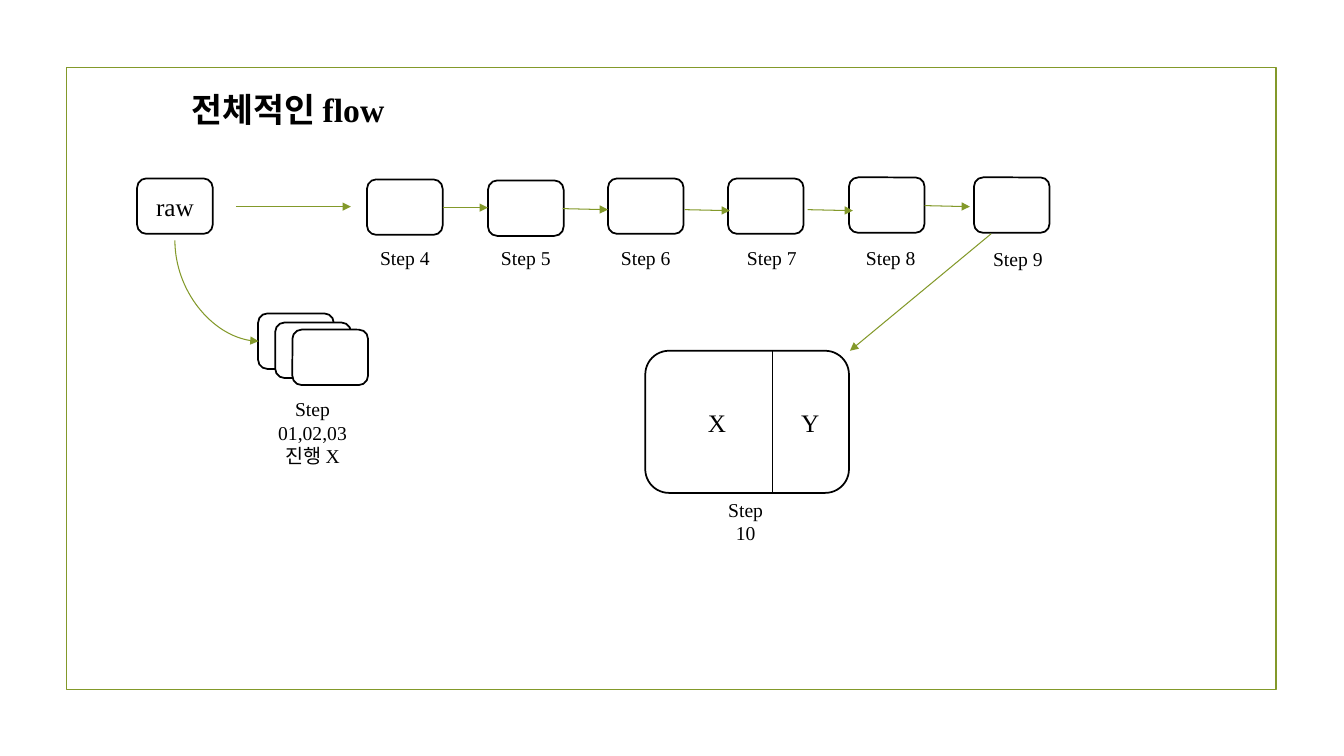
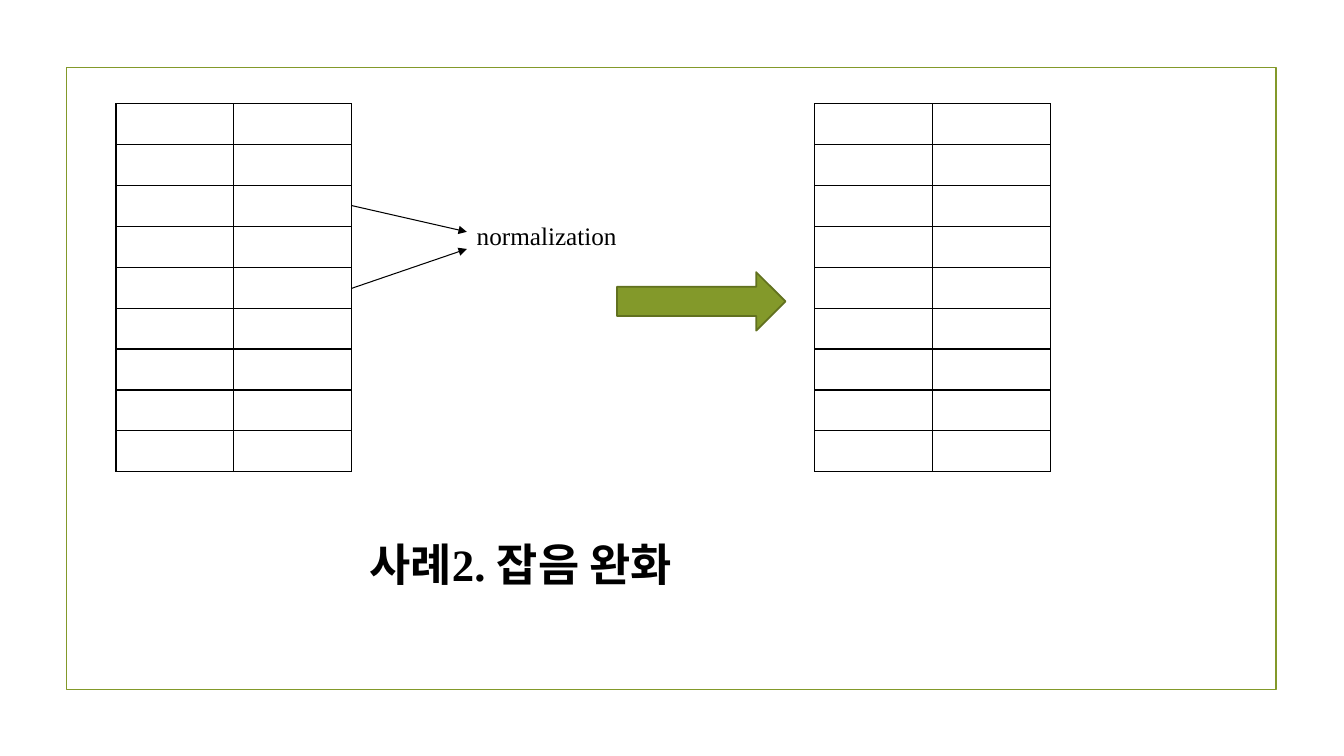
from dataclasses import dataclass

from lxml import etree
from pptx import Presentation
from pptx import util as u
from pptx.dml.color import RGBColor
from pptx.enum import shapes, text
from pptx.oxml.ns import qn

# Content: lengths in px, 100 px to the inch
SLIDE_SIZE = (1333, 750)
FRAME = (66, 67, 1200, 617)

FLOW_TITLE = ("전체적인 flow", (88, 83, 395, 50))
RAW_BOX = ("raw", 136, 177)
STACK = [(256, 311), (273, 320), (290, 327)]
STACK_LABEL = ("Step 01,02,03 진행 X", (256, 389, 108, 81))
STEPS = [  # label, box left, box top, label left, label top
    ("Step 4", 364, 178, 364, 239),
    ("Step 5", 484, 179, 484, 239),
    ("Step 6", 603, 177, 603, 239),
    ("Step 7", 722, 177, 728, 239),
    ("Step 8", 842, 176, 846, 239),
    ("Step 9", 966, 176, 972, 240),
]
FLOW_ARROWS = [
    (234, 205, 348, 205),
    (439, 206, 484, 206),
    (558, 207, 603, 208),
    (679, 208, 724, 209),
    (801, 208, 846, 209),
    (917, 204, 962, 205),
    (983, 232, 843, 348),
]
CURVE = (265, 247, 165, 330)  # ends before the quarter turn
RESULT_BOX = (640, 348, 202, 141)
RESULT_SPLIT = 766
RESULT_PARTS = [("X", (660, 399, 102, 40)), ("Y", (779, 399, 49, 40))]
RESULT_LABEL = ("Step 10", (702, 489, 75, 57))

CASE_TITLE = ("사례2. 잡음 완화", (276, 527, 481, 64))
TABLE_LEFTS, TABLE_TOP, TABLE_SIZE = (115, 808), 103, (234, 365)
TABLE_ROWS, TABLE_COLUMNS = 9, 2
NOTE = ("normalization", (463, 214, 211, 40))
NOTE_ARROWS = [(349, 204, 463, 230), (349, 286, 463, 247)]
BLOCK_ARROW = (612, 270, 167, 58)


@dataclass(frozen=True)
class Theme:
    font: str = "Times New Roman"
    ink: str = "000000"
    paper: str = "FFFFFF"
    accent: str = "83992A"
    accent_dark: str = "61711F"
    label: int = 14
    body: int = 18
    heading: int = 24
    caption: int = 32
    thin: float = 0.75
    cell_line: float = 1
    outline: float = 1.25
    box: tuple = (75, 55)
    label_size: tuple = (75, 34)


THEME = Theme()
ALIGN = text.PP_ALIGN
KIND = shapes.MSO_SHAPE
LINK = shapes.MSO_CONNECTOR


# Shared helpers
def px(*lengths):
    return [u.Emu(length * 9144) for length in lengths]


def assign(target, **values):
    for name, value in values.items():
        setattr(target, name, value)


def write(shape, content, size, align=ALIGN.CENTER, bold=False,
          anchor=text.MSO_ANCHOR.TOP):
    frame = shape.text_frame
    assign(frame, word_wrap=True, auto_size=text.MSO_AUTO_SIZE.NONE,
           vertical_anchor=anchor)
    paragraph = frame.paragraphs[0]
    paragraph.alignment = align
    run = paragraph.add_run()
    run.text = content
    assign(run.font, name=THEME.font, size=u.Pt(size), bold=bold)
    run.font.color.rgb = RGBColor.from_string(THEME.ink)


def set_title(slide, content, area, size):
    title = slide.shapes.title
    assign(title, **dict(zip(("left", "top", "width", "height"), px(*area))))
    write(title, content, size, bold=True)


def add_text(slide, content, area, size, align=ALIGN.CENTER):
    write(slide.shapes.add_textbox(*px(*area)), content, size, align)


def set_line(shape, color, width):
    shape.line.color.rgb = RGBColor.from_string(color)
    shape.line.width = u.Pt(width)


def add_block(slide, kind, area, fill=THEME.paper, line=THEME.ink):
    shape = slide.shapes.add_shape(kind, *px(*area))
    shape.shadow.inherit = False
    if fill:
        shape.fill.solid()
        shape.fill.fore_color.rgb = RGBColor.from_string(fill)
    else:
        shape.fill.background()
    set_line(shape, line, THEME.outline)
    return shape


def add_box(slide, left, top):
    return add_block(slide, KIND.ROUNDED_RECTANGLE, (left, top, *THEME.box))


def add_line(slide, ends, color, arrow=True, kind=LINK.STRAIGHT):
    line = slide.shapes.add_connector(kind, *px(*ends))
    set_line(line, color, THEME.thin)
    properties = line.element.spPr
    if arrow:
        etree.SubElement(properties.find(qn("a:ln")), qn("a:tailEnd"), type="triangle")
    etree.SubElement(properties, qn("a:effectLst"))
    return line


def add_quarter_curve(slide, ends, color):
    curve = add_line(slide, ends, color, kind=LINK.CURVE)
    properties = curve.element.spPr
    properties.find(qn("a:prstGeom")).set("prst", "curvedConnector2")
    properties.find(qn("a:xfrm")).set("rot", str(270 * 60000))


def style_cell(cell):
    assign(cell, margin_top=0, margin_bottom=0)
    cell.fill.solid()
    cell.fill.fore_color.rgb = RGBColor.from_string(THEME.paper)
    properties = cell._tc.get_or_add_tcPr()
    for position, side in enumerate(("lnL", "lnR", "lnT", "lnB")):
        border = etree.Element(qn(f"a:{side}"), w=str(u.Pt(THEME.cell_line)))
        fill = etree.SubElement(border, qn("a:solidFill"))
        etree.SubElement(fill, qn("a:srgbClr"), val=THEME.ink)
        properties.insert(position, border)


def add_grid(slide, left):
    area = px(left, TABLE_TOP, *TABLE_SIZE)
    table = slide.shapes.add_table(TABLE_ROWS, TABLE_COLUMNS, *area).table
    assign(table, first_row=False, horz_banding=False)
    for cell in table.iter_cells():
        style_cell(cell)


# Slides
def build_flow(slide):
    set_title(slide, *FLOW_TITLE, THEME.heading)

    # Raw data and the skipped steps
    label, left, top = RAW_BOX
    write(add_box(slide, left, top), label, THEME.body,
          anchor=text.MSO_ANCHOR.MIDDLE)
    for corner in STACK:
        add_box(slide, *corner)
    add_text(slide, *STACK_LABEL, THEME.label)
    add_quarter_curve(slide, CURVE, THEME.accent)

    # Steps in a row
    for label, left, top, label_left, label_top in STEPS:
        add_box(slide, left, top)
        add_text(slide, label, (label_left, label_top, *THEME.label_size), THEME.label)

    # Split result
    add_block(slide, KIND.ROUNDED_RECTANGLE, RESULT_BOX)
    _, top, _, height = RESULT_BOX
    add_line(slide, (RESULT_SPLIT, top, RESULT_SPLIT, top + height), THEME.ink, arrow=False)
    for label, area in RESULT_PARTS:
        add_text(slide, label, area, THEME.body)
    add_text(slide, *RESULT_LABEL, THEME.label)

    for ends in FLOW_ARROWS:
        add_line(slide, ends, THEME.accent)


def build_case(slide):
    set_title(slide, *CASE_TITLE, THEME.caption)
    for left in TABLE_LEFTS:
        add_grid(slide, left)
    add_block(slide, KIND.RIGHT_ARROW, BLOCK_ARROW, THEME.accent, THEME.accent_dark)
    for ends in NOTE_ARROWS:
        add_line(slide, ends, THEME.ink)
    add_text(slide, *NOTE, THEME.body, ALIGN.LEFT)


def main():
    presentation = Presentation()
    presentation.slide_width, presentation.slide_height = px(*SLIDE_SIZE)
    layout = presentation.slide_layouts.get_by_name("Title Only")
    slides = [presentation.slides.add_slide(layout) for _ in range(2)]

    # The frame moves to the layout, so both slides share it
    frame = add_block(slides[0], KIND.RECTANGLE, FRAME, fill=None, line=THEME.accent)
    layout.shapes.element.append(frame.element)

    for build, slide in zip((build_flow, build_case), slides):
        build(slide)
    presentation.save("out.pptx")


if __name__ == "__main__":
    main()
